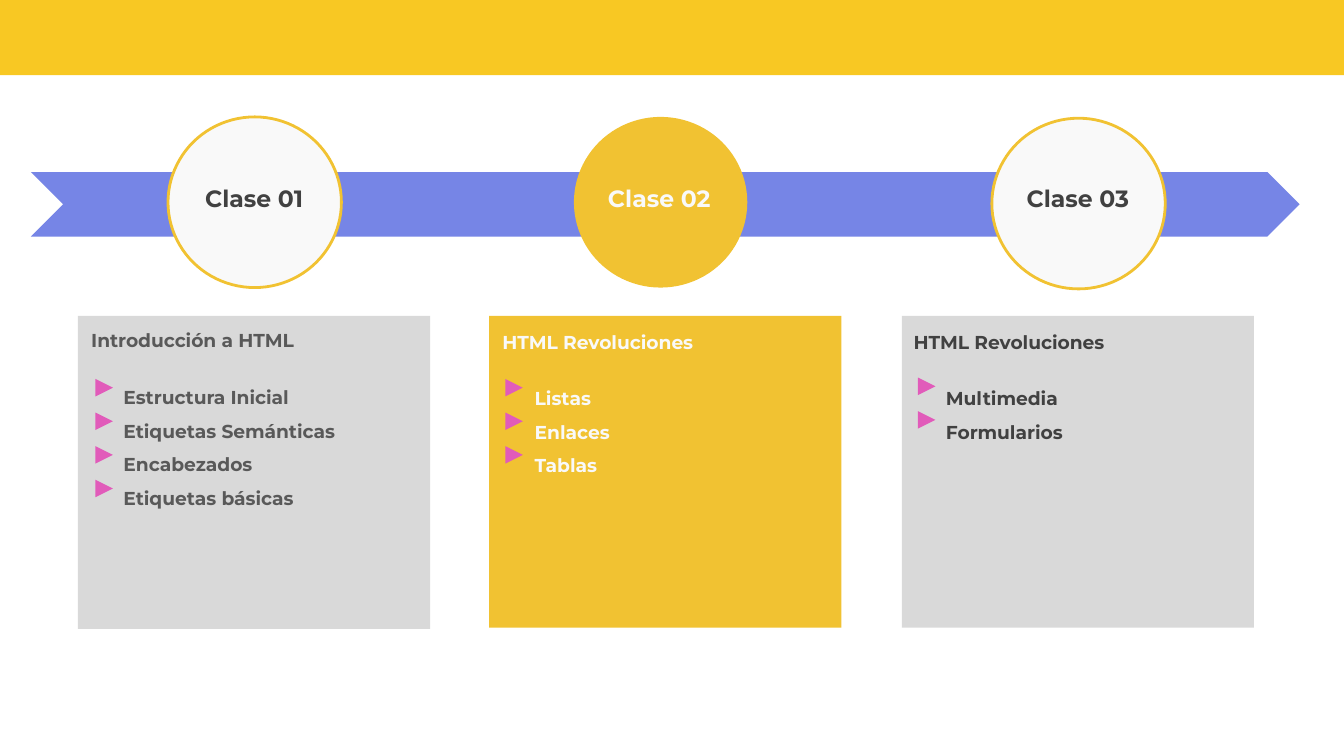
from pptx import Presentation
from pptx.dml.color import RGBColor
from pptx.enum.shapes import MSO_SHAPE
from pptx.enum.text import MSO_ANCHOR, MSO_AUTO_SIZE, PP_ALIGN
from pptx.util import Inches, Pt

CHEVRON, OVAL = MSO_SHAPE.CHEVRON, MSO_SHAPE.OVAL
RECTANGLE, TRIANGLE = MSO_SHAPE.RECTANGLE, MSO_SHAPE.ISOSCELES_TRIANGLE
TOP, NO_AUTOFIT = MSO_ANCHOR.TOP, MSO_AUTO_SIZE.NONE
LEFT, CENTER = PP_ALIGN.LEFT, PP_ALIGN.CENTER

FONT = "Montserrat"
COLORS = {
    "banner": "F8C823", "arrow": "7685E6", "gold": "F1C232",
    "light": "F9F9F9", "panel": "D9D9D9", "marker": "E15BBA",
    "dark": "414141", "gray": "595959",
}
MARKER_SIZE = 0.13
MARKER_STEP = 0.25

# Boxes are left, top, width, height in inches
CLASSES = [
    {"name": "Clase 01", "topic": "Introducción a HTML",
     "items": ["Estructura Inicial", "Etiquetas Semánticas",
               "Encabezados", "Etiquetas básicas"],
     "circle": (1.25, 0.87), "label": (1.39, 1.0),
     "panel": (0.58, 2.35, 2.62, 2.33), "body": (0.58, 2.35, 2.62, 2.31),
     "markers": (0.71, 2.82), "text": "gray", "active": False},
    {"name": "Clase 02", "topic": "HTML Revoluciones",
     "items": ["Listas", "Enlaces", "Tablas"],
     "circle": (4.27, 0.87), "label": (4.31, 1.19),
     "panel": (3.64, 2.35, 2.62, 2.32), "body": (3.64, 2.36, 2.62, 2.32),
     "markers": (3.76, 2.82), "text": "light", "active": True},
    {"name": "Clase 03", "topic": "HTML Revoluciones",
     "items": ["Multimedia", "Formularios"],
     "circle": (7.38, 0.88), "label": (7.52, 1.0),
     "panel": (6.71, 2.35, 2.62, 2.32), "body": (6.7, 2.36, 2.62, 2.31),
     "markers": (6.83, 2.81), "text": "dark", "active": False},
]


def rgb(color):
    return RGBColor.from_string(COLORS[color])


def add_block(slide, kind, box, fill, line=None):
    block = slide.shapes.add_shape(kind, *map(Inches, box))
    block.shadow.inherit = False
    block.fill.solid()
    block.fill.fore_color.rgb = rgb(fill)
    if line:
        block.line.color.rgb = rgb(line)
        block.line.width = Pt(1.5)
    else:
        block.line.fill.background()
    return block


def prepare_text(holder, box):
    holder.left, holder.top, holder.width, holder.height = map(Inches, box)
    frame = holder.text_frame
    frame.word_wrap = True
    frame.auto_size = NO_AUTOFIT
    frame.vertical_anchor = TOP
    frame.margin_left = frame.margin_right = Inches(0.1)
    frame.margin_top = frame.margin_bottom = Inches(0.1)
    return frame


def add_text(paragraph, text, size, color, align=LEFT):
    paragraph.alignment = align
    run = paragraph.add_run()
    run.text = text
    run.font.name = FONT
    run.font.size = Pt(size)
    run.font.bold = True
    run.font.color.rgb = rgb(color)


def add_label(holder, lesson):
    left, width = lesson["label"]
    frame = prepare_text(holder, (left, 1.27, width, 0.33))
    color = "light" if lesson["active"] else "dark"
    add_text(frame.paragraphs[0], lesson["name"], 12.6, color, CENTER)


def add_topics(slide, lesson):
    body = slide.shapes.add_textbox(0, 0, 0, 0)
    frame = prepare_text(body, lesson["body"])
    heading = frame.paragraphs[0]
    heading.space_after = Pt(12.2)
    add_text(heading, lesson["topic"], 10, lesson["text"])

    marker_left, marker_top = lesson["markers"]
    for row, item in enumerate(lesson["items"]):
        entry = frame.add_paragraph()
        entry.line_spacing = 1.5
        entry._p.get_or_add_pPr().set("marL", str(Inches(0.24)))
        add_text(entry, item, 10, lesson["text"])
        marker_box = (marker_left, marker_top + row * MARKER_STEP,
                      MARKER_SIZE, MARKER_SIZE)
        add_block(slide, TRIANGLE, marker_box, "marker").rotation = 90


def main():
    prs = Presentation()
    prs.slide_width = Inches(10)
    prs.slide_height = Inches(10) * 9 // 16
    slide = prs.slides.add_slide(prs.slide_layouts[5])
    title = slide.shapes.title

    # Banner and timeline arrow
    add_block(slide, RECTANGLE, (-0.01, -0.05, 10.03, 0.61), "banner")
    add_block(slide, CHEVRON, (0.23, 1.28, 9.44, 0.48), "arrow")

    # Circle and panel of each class
    for lesson in CLASSES:
        active = lesson["active"]
        add_block(slide, OVAL, (*lesson["circle"], 1.29, 1.27),
                  "gold" if active else "light", None if active else "gold")
        add_block(slide, RECTANGLE, lesson["panel"],
                  "gold" if active else "panel")

    # Class names; the first one is the title, raised above the circles
    slide.shapes._spTree.append(title._element)
    for number, lesson in enumerate(CLASSES):
        holder = slide.shapes.add_textbox(0, 0, 0, 0) if number else title
        add_label(holder, lesson)

    # Topics with their markers
    for lesson in CLASSES:
        add_topics(slide, lesson)

    prs.save("out.pptx")


if __name__ == "__main__":
    main()
